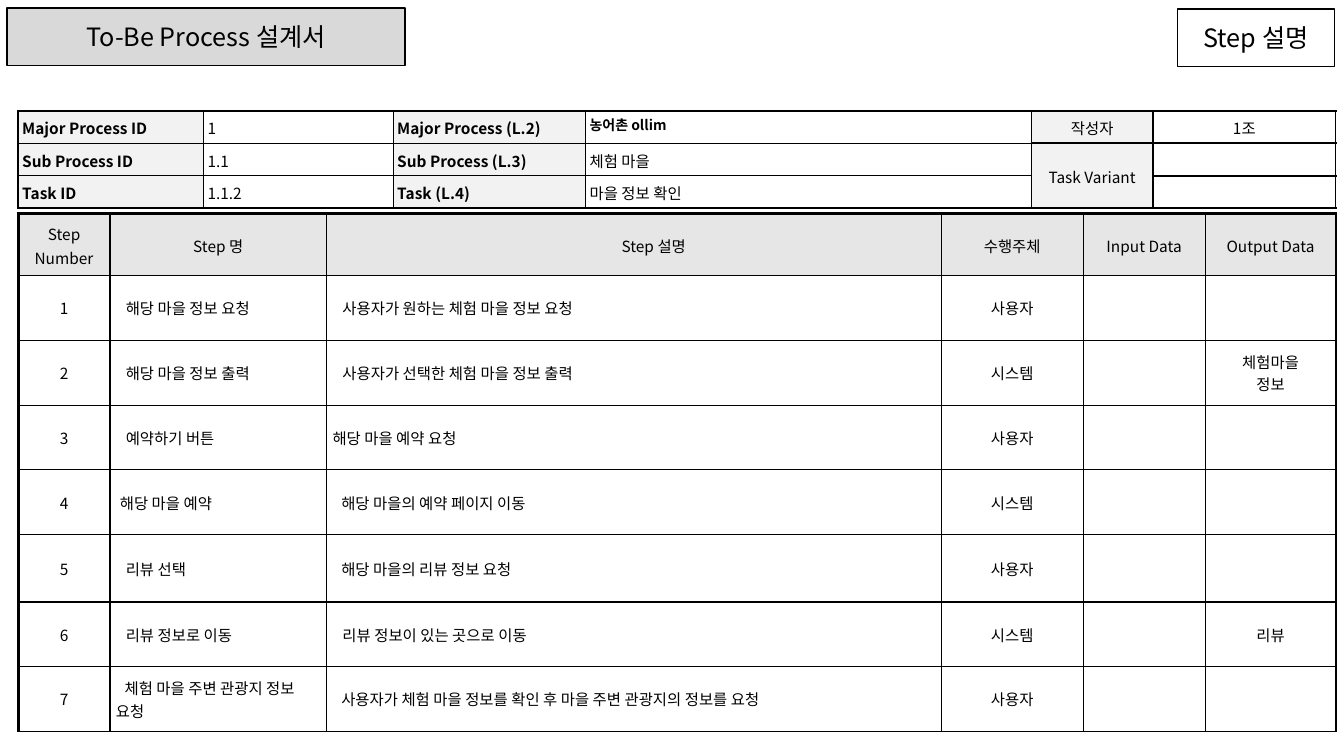
from lxml import etree
from pptx import Presentation
from pptx import util as u
from pptx.dml.color import RGBColor
from pptx.enum import shapes, text
from pptx.oxml import ns

BLACK = RGBColor(0, 0, 0)
SILVER = RGBColor(0xD9, 0xD9, 0xD9)
HEAD = RGBColor(0xE6, 0xE6, 0xE6)
LABEL = RGBColor(0xF2, 0xF2, 0xF2)
MID = text.PP_ALIGN.CENTER
SIDES = "LRTB"


def write(frame, words, size=11, bold=False, align=None, lead=0, gap=None):
    """Fill a text frame, one paragraph a line."""
    for i, line in enumerate(words.split("\n")):
        para = frame.add_paragraph() if i else frame.paragraphs[0]
        para.alignment = align
        para.line_spacing = gap
        if lead:
            para._p.get_or_add_pPr().set("indent", str(u.Cm(lead)))
        if not line:
            end = etree.SubElement(para._p, ns.qn("a:endParaRPr"))
            end.set("sz", str(size * 100))
            continue
        run = para.add_run()
        run.text = line
        font = run.font
        font.size, font.bold, font.name = u.Pt(size), bold, Page.face
        font.color.rgb = BLACK
        far = etree.SubElement(run._r.get_or_add_rPr(), ns.qn("a:ea"))
        far.set("typeface", Page.face)


def paint(fill, color):
    """Set a solid fill, or none."""
    if color is None:
        fill.background()
    else:
        fill.solid()
        fill.fore_color.rgb = color


class Page:
    """The style and the current slide."""
    face = "Noto Sans CJK KR"

    def __init__(self, deck):
        """Add a blank slide."""
        self.slide = deck.slides.add_slide(deck.slide_layouts[6])

    def box(self, left, top, wide, high, words, color=None):
        """Draw a framed title box."""
        shape = self.slide.shapes.add_shape(
            shapes.MSO_SHAPE.RECTANGLE, *map(u.Cm, (left, top, wide, high)))
        shape.shadow.inherit = False
        paint(shape.fill, color)
        shape.line.color.rgb = BLACK
        shape.line.width = u.Pt(1)
        shape.text_frame.vertical_anchor = text.MSO_ANCHOR.MIDDLE
        write(shape.text_frame, words, size=18, align=MID)

    def grid(self, left, top, cols, rows):
        """Add a plain table with the given column widths and row heights."""
        table = self.slide.shapes.add_table(
            len(rows), len(cols), u.Cm(left), u.Cm(top),
            u.Cm(sum(cols)), u.Cm(sum(rows))).table
        table.first_row = table.horz_banding = False
        for col, wide in zip(table.columns, cols):
            col.width = u.Cm(wide)
        for row, high in zip(table.rows, rows):
            row.height = u.Cm(high)
        return table

    def cell(self, cell, words, edges, color=None, pad=0.1, top=False, **form):
        """Style one cell; edges are line widths: left, right, top, bottom."""
        cell.margin_left = cell.margin_right = u.Cm(pad)
        cell.margin_top = cell.margin_bottom = u.Cm(0.1)
        cell.vertical_anchor = (text.MSO_ANCHOR.TOP if top
                                else text.MSO_ANCHOR.MIDDLE)
        props = cell._tc.get_or_add_tcPr()
        for side, wide in zip(SIDES, edges):
            line = etree.SubElement(props, ns.qn("a:ln" + side))
            line.set("w", str(u.Pt(wide)))
            solid = etree.SubElement(line, ns.qn("a:solidFill"))
            etree.SubElement(solid, ns.qn("a:srgbClr")).set("val", str(BLACK))
        paint(cell.fill, color)
        write(cell.text_frame, words, **form)


LEFT = 0.46
TASKS = [
    ["Major Process ID", "1", "Major Process (L.2)", "농어촌 ollim", "작성자", "1조"],
    ["Sub Process ID", "1.1", "Sub Process (L.3)", "체험 마을", "Task Variant", ""],
    ["Task ID", "1.1.2", "Task (L.4)", "마을 정보 확인", "", ""],
]
HEADS = ["Step Number", "Step 명", "Step 설명", "수행주체", "Input Data", "Output Data"]
USER, SYSTEM = "사용자", "시스템"
# name, its indent, description, its indent, actor, output
STEPS = [
    ("해당 마을 정보 요청", 0.25, "사용자가 원하는 체험 마을 정보 요청", 0.25, USER, ""),
    ("해당 마을 정보 출력", 0.25, "사용자가 선택한 체험 마을 정보 출력", 0.25, SYSTEM,
     "체험마을\n정보"),
    ("예약하기 버튼", 0.25, "해당 마을 예약 요청", 0, USER, ""),
    ("해당 마을 예약", 0.1, "해당 마을의 예약 페이지 이동", 0.22, SYSTEM, ""),
    ("리뷰 선택", 0.25, "해당 마을의 리뷰 정보 요청", 0.22, USER, ""),
    ("리뷰 정보로 이동", 0.25, "리뷰 정보이 있는 곳으로 이동", 0.25, SYSTEM, "리뷰"),
    ("체험 마을 주변 관광지 정보 요청", 0.22,
     "사용자가 체험 마을 정보를 확인 후 마을 주변 관광지의 정보를 요청", 0.22, USER, ""),
]


def tasks(page):
    """Build the process summary table."""
    table = page.grid(LEFT, 2.79, [4.67, 4.78, 4.85, 11.23, 3.07, 4.6], [0.79] * 3)
    table.cell(1, 4).merge(table.cell(2, 4))
    for r, row in enumerate(TASKS):
        for c, words in enumerate(row):
            side, name = c > 3, c == 3 and r == 0
            edges = (1.5 if c in (0, 5) else 1, 1.5 if c > 3 else 1,
                     1.5 if side or r == 0 else 1, 1.5 if side or r == 2 else 1)
            page.cell(table.cell(r, c), words, edges,
                      color=LABEL if c in (0, 2, 4) else None, top=not side,
                      size=10 if name else 11, bold=c in (0, 2) or name,
                      align=MID if side else None, gap=None if name else 1.1)


def steps(page):
    """Build the step table."""
    table = page.grid(LEFT, 5.38, [2.31, 5.46, 15.49, 3.58, 3.07, 3.3],
                      [1.57] + [1.63] * 4 + [1.7] + [1.63] * 2)
    rows = [[(head, 1 if c == 2 else 0) for c, head in enumerate(HEADS)]]
    for n, (name, dent, note, inset, actor, out) in enumerate(STEPS, 1):
        rows.append([(str(n), 0), (name, dent), (note, inset),
                     (actor, 0), ("", 0), (out, 0)])
    for r, row in enumerate(rows):
        first = r == 0
        for c, (words, lead) in enumerate(row):
            edges = (2.25 if c == 0 else 1, 2.25 if c == 5 else 1,
                     2.25 if first else 1, 1)
            page.cell(table.cell(r, c), words, edges, pad=0.15,
                      color=HEAD if first else None, lead=lead,
                      align=None if c in (1, 2) and not first else MID,
                      gap=1.1 if first else None)


deck = Presentation()
deck.slide_width, deck.slide_height = u.Cm(33.87), u.Cm(19.05)
page = Page(deck)
page.box(0.18, 0.2, 10.03, 1.45, "To-Be Process 설계서", SILVER)
page.box(29.67, 0.23, 3.96, 1.45, "Step 설명")
tasks(page)
steps(page)
deck.save("out.pptx")
